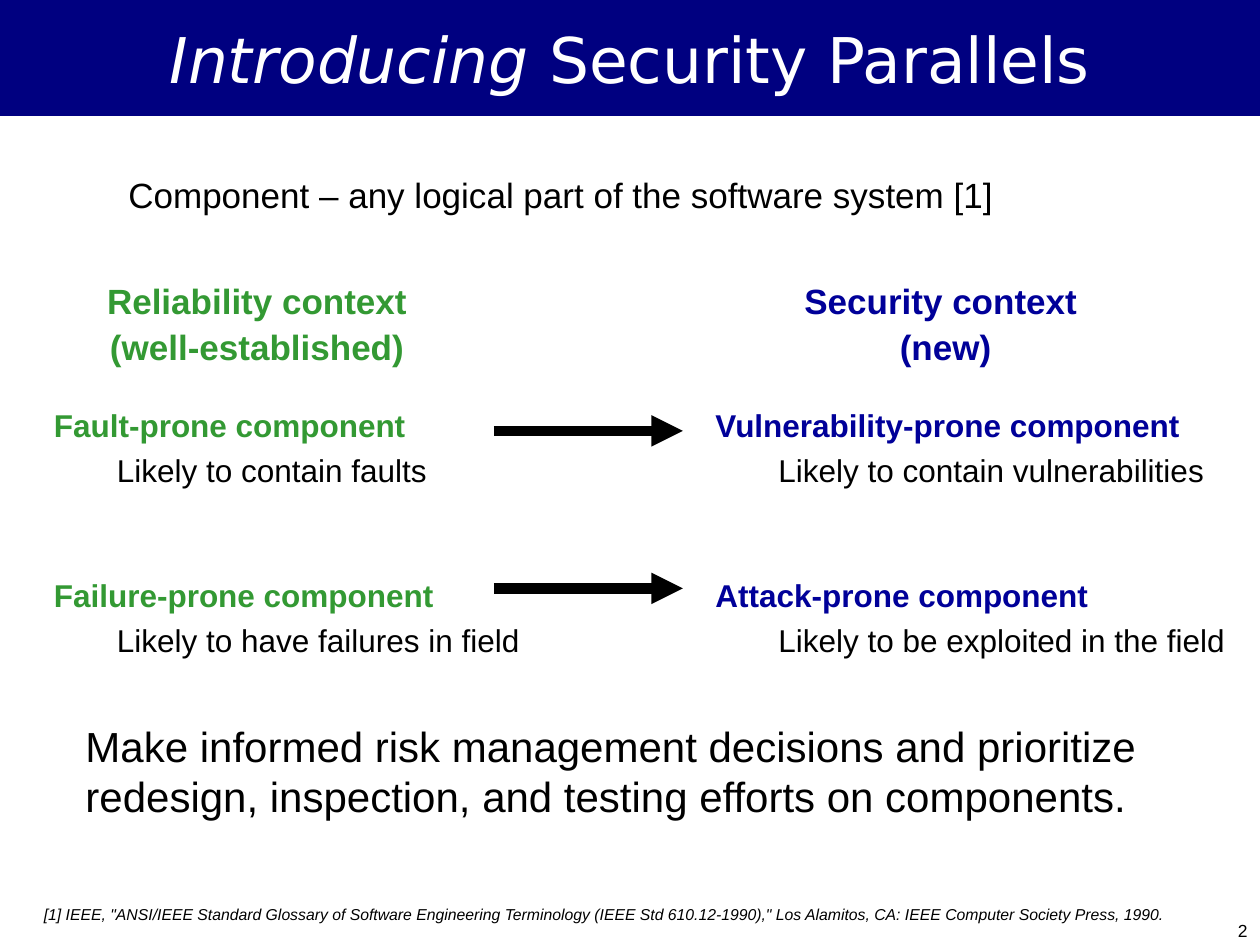
"""Build the slide that maps reliability terms to security terms."""
from lxml import etree
from pptx import Presentation
from pptx.dml.color import RGBColor
from pptx.enum.shapes import MSO_CONNECTOR, MSO_SHAPE
from pptx.enum.text import MSO_ANCHOR, PP_ALIGN
from pptx.oxml.ns import qn
from pptx.util import Inches, Pt

LEFT, CENTER, RIGHT = PP_ALIGN.LEFT, PP_ALIGN.CENTER, PP_ALIGN.RIGHT
MIDDLE = MSO_ANCHOR.MIDDLE
RECTANGLE = MSO_SHAPE.RECTANGLE
STRAIGHT = MSO_CONNECTOR.STRAIGHT

NAVY = RGBColor(0x00, 0x00, 0x80)
BLUE = RGBColor(0x00, 0x00, 0x99)
GREEN = RGBColor(0x33, 0x99, 0x33)
BLACK = RGBColor(0x00, 0x00, 0x00)
WHITE = RGBColor(0xFF, 0xFF, 0xFF)

BODY_FONT = "Arial"
TITLE_FONT = "DejaVu Sans"

GREEN_TERMS = [
    ("Fault-prone component", "Likely to contain faults"),
    ("Failure-prone component", "Likely to have failures in field"),
]
BLUE_TERMS = [
    ("Vulnerability-prone component", "Likely to contain vulnerabilities"),
    ("Attack-prone component", "Likely to be exploited in the field"),
]
CITATION = (
    '[1] IEEE, "ANSI/IEEE Standard Glossary of Software Engineering Terminology '
    '(IEEE Std 610.12-1990)," Los Alamitos, CA: IEEE Computer Society Press, 1990.'
)


def add_run(p, text, size, color=BLACK, bold=False, italic=False, font=BODY_FONT):
    """Append one formatted run to a paragraph."""
    r = p.add_run()
    r.text = text
    r.font.name = font
    r.font.size = Pt(size)
    r.font.bold = bold
    r.font.italic = italic
    r.font.color.rgb = color


def next_paragraph(tf):
    """Return the unused first paragraph, or a new one."""
    p = tf.paragraphs[0]
    return tf.add_paragraph() if p.runs else p


def add_frame(s, left, top, width, height):
    """Add a wrapping text box and return its text frame."""
    box = s.shapes.add_textbox(Inches(left), Inches(top), Inches(width), Inches(height))
    box.text_frame.word_wrap = True
    return box.text_frame


def add_text(s, place, lines, size, align=LEFT, before=0, **style):
    """Add a text box with one paragraph per line."""
    tf = add_frame(s, *place)
    for line in lines:
        p = next_paragraph(tf)
        p.alignment = align
        p.space_before = Pt(before)
        add_run(p, line, size, **style)


def add_title(s):
    """Add the full-width title banner."""
    sp = s.shapes.add_shape(RECTANGLE, 0, 0, Inches(10), Inches(0.92))
    sp.shadow.inherit = False
    sp.fill.solid()
    sp.fill.fore_color.rgb = NAVY
    sp.line.fill.background()
    tf = sp.text_frame
    tf.word_wrap = True
    tf.vertical_anchor = MIDDLE
    p = tf.paragraphs[0]
    p.alignment = CENTER
    add_run(p, "Introducing", 36, WHITE, italic=True, font=TITLE_FONT)
    add_run(p, " Security Parallels", 36, WHITE, font=TITLE_FONT)


def add_terms(s, left, width, terms, color):
    """Add a column of terms, each with an indented meaning."""
    tf = add_frame(s, left, 3.17, width, 2.5)
    for i, (term, meaning) in enumerate(terms):
        p = next_paragraph(tf)
        p.space_before = Pt(45 if i else 0)
        p.space_after = Pt(4.5)
        add_run(p, term, 18, color, bold=True)
        p = next_paragraph(tf)
        p.level = 1
        p.space_after = Pt(4.5)
        pPr = p._p.get_or_add_pPr()
        pPr.set("marL", str(Inches(0.81)))
        pPr.set("indent", str(Inches(-0.31)))
        add_run(p, meaning, 18)


def add_arrow(s, y):
    """Add a thick arrow from the left column to the right one."""
    sp = s.shapes.add_connector(STRAIGHT, Inches(3.92), Inches(y), Inches(5.42), Inches(y))
    sp.line.color.rgb = BLACK
    sp.line.width = Pt(6)
    etree.SubElement(sp.line._get_or_add_ln(), qn("a:tailEnd"), type="triangle")
    etree.SubElement(sp._element.spPr, qn("a:effectLst"))


def main():
    """Build and save the slide."""
    prs = Presentation()
    prs.slide_width, prs.slide_height = Inches(10), Inches(7.5)
    s = prs.slides.add_slide(prs.slide_layouts[6])

    add_title(s)
    add_text(s, (0.42, 1.33, 10, 0.44),
             ["\tComponent – any logical part of the software system [1]"], 20, before=6.2)
    add_text(s, (0, 2.17, 4.08, 0.8), ["Reliability context", "(well-established)"],
             20, CENTER, 2.5, color=GREEN, bold=True)
    add_text(s, (5.92, 2.17, 3.17, 0.8), ["Security context ", "(new)"],
             20, CENTER, 2.5, color=BLUE, bold=True)
    add_terms(s, 0.33, 4.08, GREEN_TERMS, GREEN)
    add_terms(s, 5.58, 4.42, BLUE_TERMS, BLUE)
    for y in (3.42, 4.67):
        add_arrow(s, y)
    add_text(s, (0.58, 5.67, 9.08, 0.9),
             ["Make informed risk management decisions and prioritize redesign, "
              "inspection, and testing efforts on components."], 24, before=15)
    add_text(s, (0.25, 7.13, 9.33, 0.25), [CITATION], 9, italic=True)
    add_text(s, (7.67, 7.25, 2.33, 0.25), ["2"], 10, RIGHT)

    prs.save("out.pptx")


if __name__ == "__main__":
    main()
